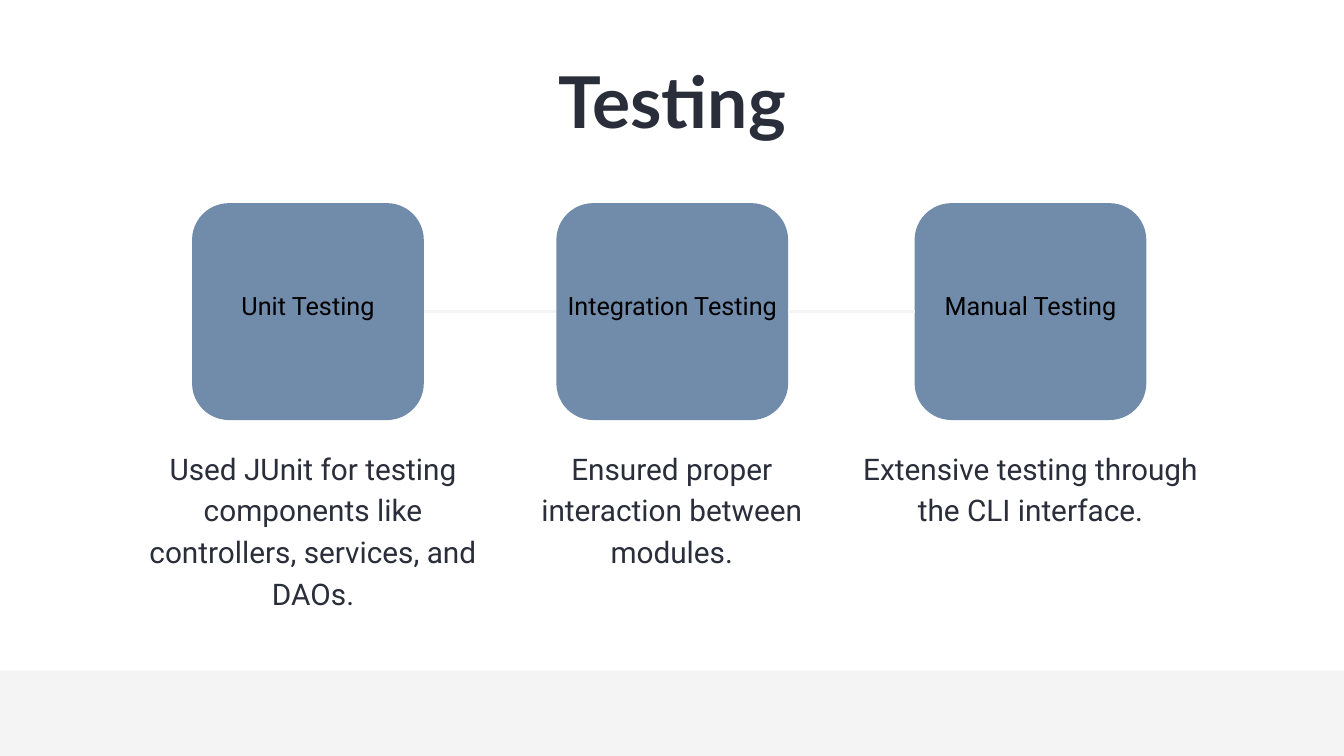
from lxml.etree import SubElement
from pptx import Presentation
from pptx.dml.color import RGBColor
from pptx.enum.shapes import MSO_CONNECTOR, MSO_SHAPE
from pptx.enum.text import MSO_ANCHOR, MSO_AUTO_SIZE, PP_ALIGN
from pptx.oxml.ns import qn
from pptx.util import Cm, Pt

INK = "2A2E3A"
STEEL = "718BAB"
PALE = "F4F4F4"
BLACK = "000000"

STAGES = [
    (7.26, "Unit Testing", "Used JUnit for testing components like controllers, services, and DAOs."),
    (21.03, "Integration Testing", "Ensured proper interaction between modules."),
    (34.57, "Manual Testing", "Extensive testing through the CLI interface."),
]
CAPTION_LEFT, CAPTION_PITCH = 5.46, 13.56


def color(value):
    return RGBColor.from_string(value)


def write(shape, text, font_name, size, spacing, ink, bold=False,
          anchor=MSO_ANCHOR.TOP, wrap=True, bottom=0):
    frame = shape.text_frame
    frame.word_wrap = wrap
    frame.auto_size = MSO_AUTO_SIZE.NONE
    frame.vertical_anchor = anchor
    frame.margin_left = frame.margin_right = frame.margin_top = 0
    frame.margin_bottom = Cm(bottom)
    paragraph = frame.paragraphs[0]
    paragraph.text = text
    paragraph.alignment = PP_ALIGN.CENTER
    paragraph.line_spacing = Pt(spacing)
    paragraph.font.name = font_name
    paragraph.font.size = Pt(size)
    paragraph.font.bold = bold
    paragraph.font.color.rgb = color(ink)


def add_block(slide, kind, left, top, width, height, fill):
    block = slide.shapes.add_shape(kind, Cm(left), Cm(top), Cm(width), Cm(height))
    block.shadow.inherit = False
    block.fill.solid()
    block.fill.fore_color.rgb = color(fill)
    block.line.fill.background()
    return block


def add_title(slide, text):
    title = slide.shapes.title
    title.left, title.top, title.width, title.height = Cm(5.85), Cm(1.9), Cm(39.1), Cm(3.45)
    write(title, text, "Lato", 76.6, 99.5, INK, bold=True)


def add_stage(slide, left, name):
    stage = add_block(slide, MSO_SHAPE.ROUNDED_RECTANGLE, left, 7.68, 8.76, 8.2, STEEL)
    stage.adjustments[0] = 0.17
    write(stage, name, "Roboto", 27, 37.8, BLACK,
          anchor=MSO_ANCHOR.MIDDLE, wrap=False, bottom=0.64)
    return stage


def add_caption(slide, left, text):
    caption = slide.shapes.add_textbox(Cm(left), Cm(16.81), Cm(12.75), Cm(6.25))
    write(caption, text, "Roboto", 31.9, 44.6, INK)


def join_stages(slide, before, after):
    link = slide.shapes.add_connector(MSO_CONNECTOR.STRAIGHT, 0, 0, 0, 0)
    link.begin_connect(before, 3)
    link.end_connect(after, 1)
    link.line.color.rgb = color(PALE)
    link.line.width = Pt(3)
    SubElement(link.element.spPr, qn("a:effectLst"))


def main():
    presentation = Presentation()
    presentation.slide_width, presentation.slide_height = Cm(50.8), Cm(28.58)
    slide = presentation.slides.add_slide(presentation.slide_layouts[5])

    add_block(slide, MSO_SHAPE.RECTANGLE, 0, 25.35, 50.8, 3.23, PALE)
    add_title(slide, "Testing")

    stages = []
    for index, (left, name, description) in enumerate(STAGES):
        stages.append(add_stage(slide, left, name))
        add_caption(slide, CAPTION_LEFT + index * CAPTION_PITCH, description)
    for before, after in zip(stages, stages[1:]):
        join_stages(slide, before, after)

    presentation.save("out.pptx")


if __name__ == "__main__":
    main()
